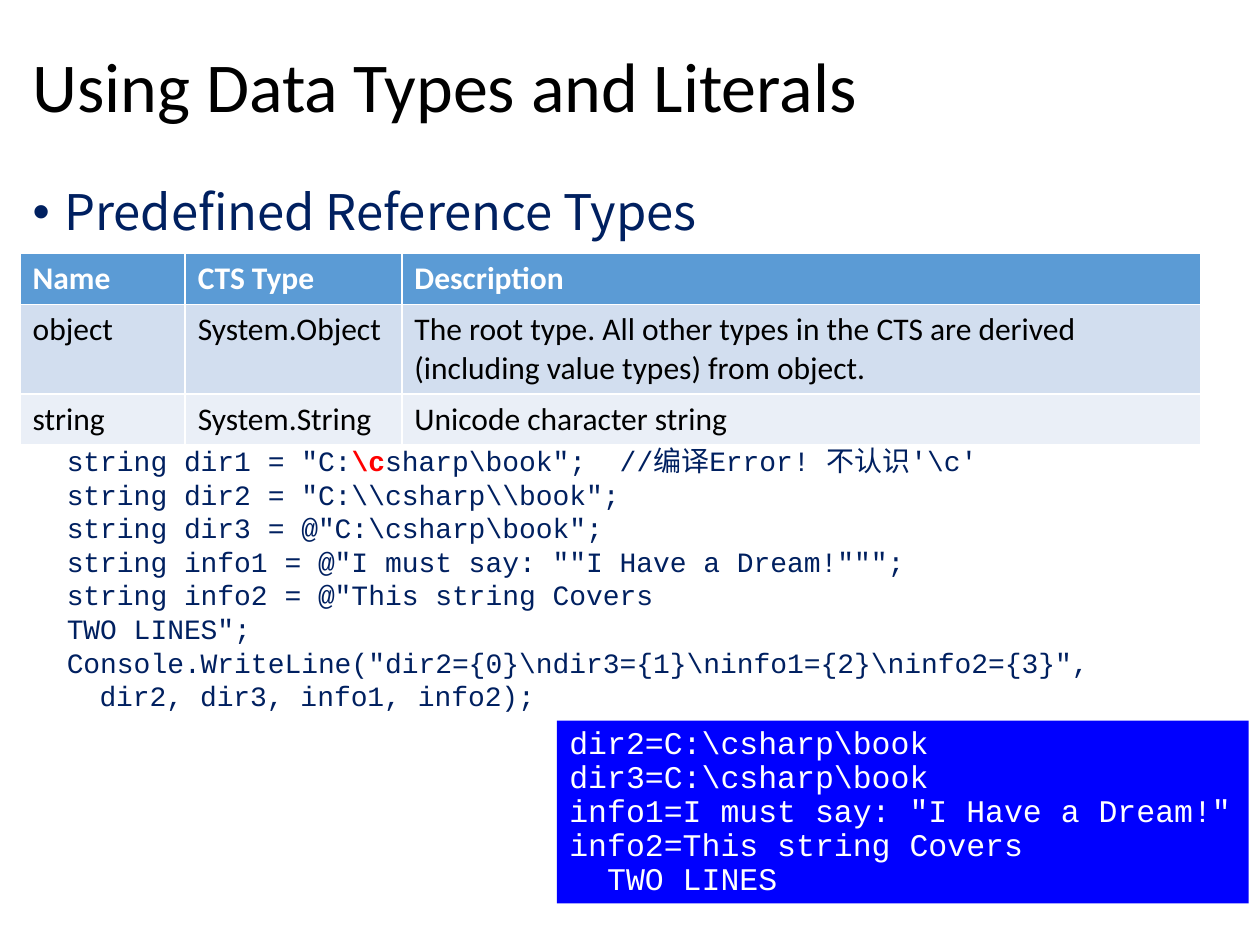
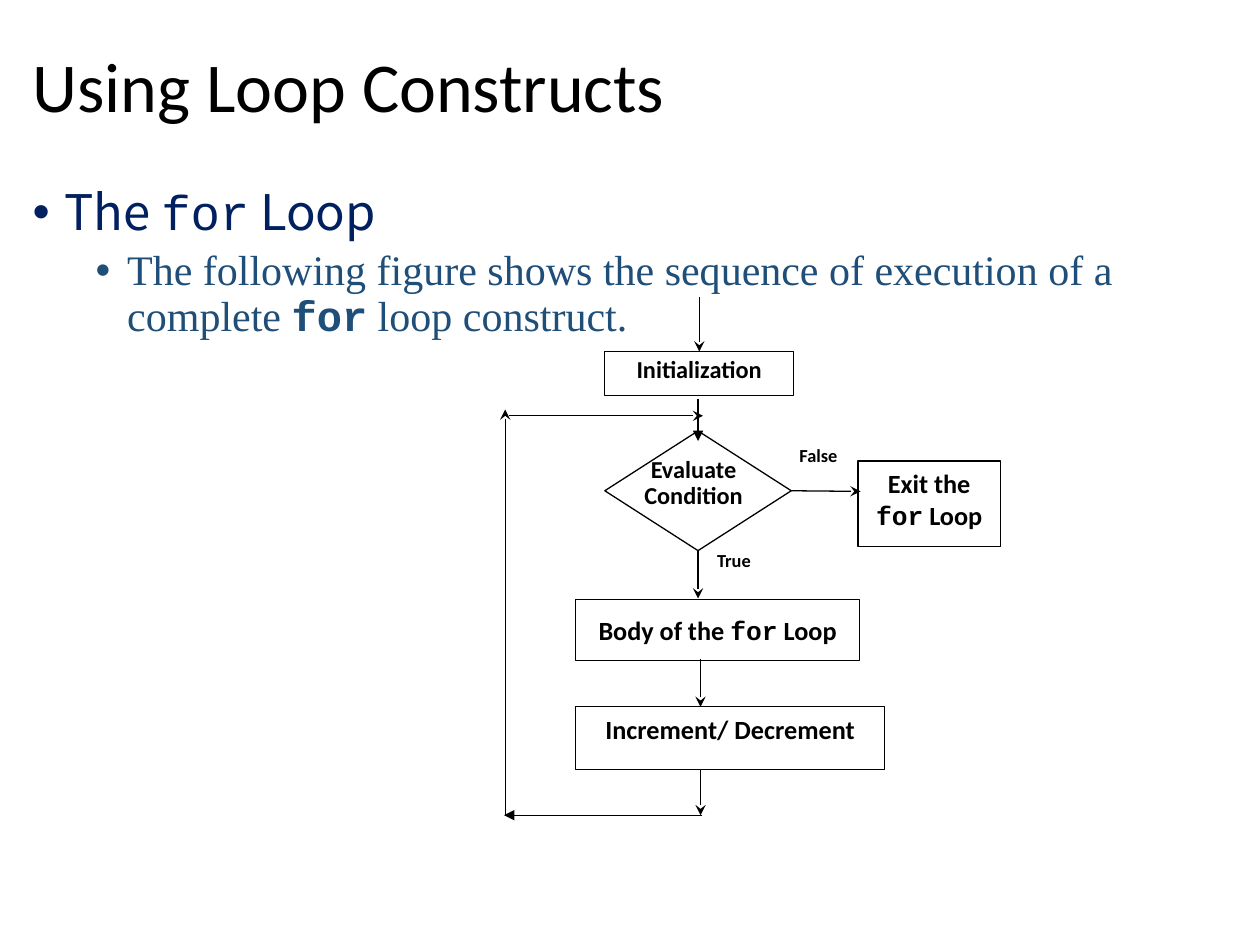
from pptx import Presentation
from pptx.dml.color import RGBColor
from pptx.enum.shapes import MSO_CONNECTOR, MSO_SHAPE
from pptx.enum.text import MSO_ANCHOR, MSO_AUTO_SIZE, PP_ALIGN
from pptx.oxml.ns import qn
from pptx.util import Inches, Pt
from lxml.etree import SubElement

HUES = {
    "black": "000000", "white": "FFFFFF", "navy": "002060", "steel": "1F4E79",
    "red": "FF0000", "blue": "0000FF", "head": "5B9BD5", "odd": "D2DEEF", "even": "EAEFF7",
}
TINT = {name: RGBColor.from_string(code) for name, code in HUES.items()}
SANS, MONO, NOTO, SERIF = "Calibri", "Courier New", "Noto Sans CJK SC", "Times New Roman"


def write(para, text, font, size, tint, bold=False, lead=0.9):
    para.text = ""
    para.line_spacing = lead
    for part in [text] if isinstance(text, str) else text:
        run = para.add_run()
        run.text = part
        run.font.name = MONO if part == "for" else font
        run.font.size = Pt(size)
        run.font.bold = bold
        run.font.color.rgb = TINT[tint]


def mark(para, left, hang, sign=None):
    props = para._p.get_or_add_pPr()
    props.set("marL", str(Inches(left)))
    props.set("indent", str(Inches(-hang)))
    if sign:
        SubElement(props, qn("a:buFont"), typeface="Arial")
        SubElement(props, qn("a:buChar"), char=sign)
    else:
        SubElement(props, qn("a:buNone"))


deck = Presentation()
deck.slide_width, deck.slide_height = Inches(10), Inches(7.5)

pages = []
for title, topic in [
    ("Using Data Types and Literals", "Predefined Reference Types"),
    ("Using Loop Constructs", ["The ", "for", " Loop"]),
]:
    page = deck.slides.add_slide(deck.slide_layouts[1])
    pages.append(page)
    for hold, top, high in zip(page.placeholders, (0.11, 1.44), (1.2, 5.91)):
        hold.left, hold.top = Inches(0.16), Inches(top)
        hold.width, hold.height = Inches(9.74), Inches(high)
        hold.text_frame.auto_size = MSO_AUTO_SIZE.NONE
    head = page.shapes.title.text_frame
    head.vertical_anchor = MSO_ANCHOR.MIDDLE
    write(head.paragraphs[0], title, SANS, 40, "black")
    head.paragraphs[0].alignment = PP_ALIGN.LEFT
    first = page.placeholders[1].text_frame.paragraphs[0]
    write(first, topic, NOTO, 28, "navy")
    first.space_before = Pt(10)
    mark(first, 0.25, 0.25, "•")

types, loops = pages

code = [
    ['string dir1 = "C:', "\\c", "sharp\\book\";  //编译Error! 不认识'\\c'"],
    'string dir2 = "C:\\\\csharp\\\\book";',
    'string dir3 = @"C:\\csharp\\book";',
    'string info1 = @"I must say: ""I Have a Dream!""";',
    'string info2 = @"This string Covers',
    'TWO LINES";',
    'Console.WriteLine("dir2={0}\\ndir3={1}\\ninfo1={2}\\ninfo2={3}",',
    "dir2, dir3, info1, info2);",
]
body = types.placeholders[1].text_frame
for row, line in enumerate(code):
    para = body.add_paragraph()
    write(para, line, MONO, 16, "navy", lead=Pt(19.2))
    para.space_before = Pt(0 if row else 116)
    mark(para, 0.53 if line == code[-1] else 0.27, 0)
wrong = body.paragraphs[1].runs[1].font
wrong.bold = True
wrong.color.rgb = TINT["red"]

cells = [
    ["Name", "CTS Type", "Description"],
    ["object", "System.Object",
     "The root type. All other types in the CTS are derived (including value types) from object."],
    ["string", "System.String", "Unicode character string"],
]
grid = types.shapes.add_table(3, 3, Inches(0.16), Inches(2.01), Inches(9.37), Inches(1.5)).table
for col, wide in zip(grid.columns, (1.31, 1.72, 6.34)):
    col.width = Inches(wide)
for row, high in zip(grid.rows, (0.4, 0.7, 0.4)):
    row.height = Inches(high)
for r, line in enumerate(cells):
    for c, text in enumerate(line):
        cell = grid.cell(r, c)
        cell.fill.solid()
        cell.fill.fore_color.rgb = TINT[("head", "odd", "even")[r]]
        write(cell.text_frame.paragraphs[0], text, SANS, 18,
              "black" if r else "white", bold=r == 0, lead=1.0)

show = types.shapes.add_shape(MSO_SHAPE.RECTANGLE, Inches(4.42), Inches(5.72), Inches(5.49), Inches(1.45))
show.shadow.inherit = False
show.fill.solid()
show.fill.fore_color.rgb = TINT["blue"]
show.line.fill.background()
show.text_frame.vertical_anchor = MSO_ANCHOR.TOP
lines = ["dir2=C:\\csharp\\book", "dir3=C:\\csharp\\book",
         'info1=I must say: "I Have a Dream!"', "info2=This string Covers", "TWO LINES"]
for row, line in enumerate(lines):
    para = show.text_frame.add_paragraph() if row else show.text_frame.paragraphs[0]
    write(para, line, MONO, 18, "white")
    para.alignment = PP_ALIGN.LEFT
    mark(para, 0.3 if line == lines[-1] else 0, 0)

note = loops.placeholders[1].text_frame.add_paragraph()
note.level = 1
write(note, ["The following figure shows the sequence of execution of a complete ",
             "for", " loop construct."], SERIF, 24, "steel")
note.runs[1].font.bold = True
note.space_before = Pt(5)
mark(note, 0.75, 0.25, "•")

RECT, GEM = MSO_SHAPE.RECTANGLE, MSO_SHAPE.DIAMOND
nodes = {}
for name, kind, left, top, wide, high, edge, size, lead, text in [
    ("true", RECT, 5.35, 4.34, 0.95, 0.3, False, 10.5, 0.8, ["True"]),
    ("body", RECT, 4.57, 4.76, 2.25, 0.48, True, 15, 1.0, [["Body of the ", "for", " Loop"]]),
    ("test", GEM, 4.8, 3.42, 1.48, 0.95, True, 0, 0, []),
    ("false", None, 6.15, 3.51, 0.69, 0.3, False, 10.5, 0.8, ["False"]),
    ("start", RECT, 4.8, 2.79, 1.5, 0.35, True, 13.9, 0.9, ["Initialization"]),
    ("check", None, 4.8, 3.58, 1.41, 0.57, False, 13.9, 0.9, ["Evaluate", "Condition"]),
    ("exit", RECT, 6.81, 3.66, 1.13, 0.68, True, 15, 1.0, [["Exit the ", "for", " Loop"]]),
    ("step", RECT, 4.57, 5.61, 2.45, 0.5, True, 15, 1.0, ["Increment/ Decrement"]),
]:
    place = [Inches(n) for n in (left, top, wide, high)]
    if kind is None:
        node = loops.shapes.add_textbox(*place)
    else:
        node = loops.shapes.add_shape(kind, *place)
        node.shadow.inherit = False
        node.fill.solid()
        node.fill.fore_color.rgb = TINT["white"]
        if edge:
            node.line.color.rgb = TINT["black"]
            node.line.width = Pt(0.75)
        else:
            node.line.fill.background()
    nodes[name] = node
    frame = node.text_frame
    frame.word_wrap = True
    frame.vertical_anchor = MSO_ANCHOR.MIDDLE if name == "body" else MSO_ANCHOR.TOP
    for row, line in enumerate(text):
        para = frame.add_paragraph() if row else frame.paragraphs[0]
        write(para, line, SANS, size, "black", True, lead)
        para.alignment = PP_ALIGN.CENTER

for x1, y1, x2, y2, tip, tail, goal in [
    (5.56, 5.23, 5.56, 5.61, "stealth", None, None),
    (5.54, 4.37, 5.54, 4.75, "stealth", ("test", 2), None),
    (6.28, 3.88, 6.83, 3.9, "stealth", ("test", 3), None),
    (5.55, 2.36, 5.55, 2.79, "stealth", None, ("start", 0)),
    (5.56, 6.11, 5.56, 6.47, "stealth", None, None),
    (4.01, 6.47, 4.01, 3.25, "stealth", None, None),
    (5.57, 6.47, 4, 6.47, "triangle", None, None),
    (4.04, 3.3, 5.58, 3.3, "stealth", None, None),
    (5.54, 3.17, 5.54, 3.5, "triangle", None, None),
]:
    link = loops.shapes.add_connector(MSO_CONNECTOR.STRAIGHT, *[Inches(n) for n in (x1, y1, x2, y2)])
    if tail:
        link.begin_connect(nodes[tail[0]], tail[1])
    if goal:
        link.end_connect(nodes[goal[0]], goal[1])
    link.line.color.rgb = TINT["black"]
    link.line.width = Pt(0.75)
    SubElement(link.line._get_or_add_ln(), qn("a:tailEnd"), type=tip)
    SubElement(link._element.spPr, qn("a:effectLst"))

deck.save("out.pptx")
